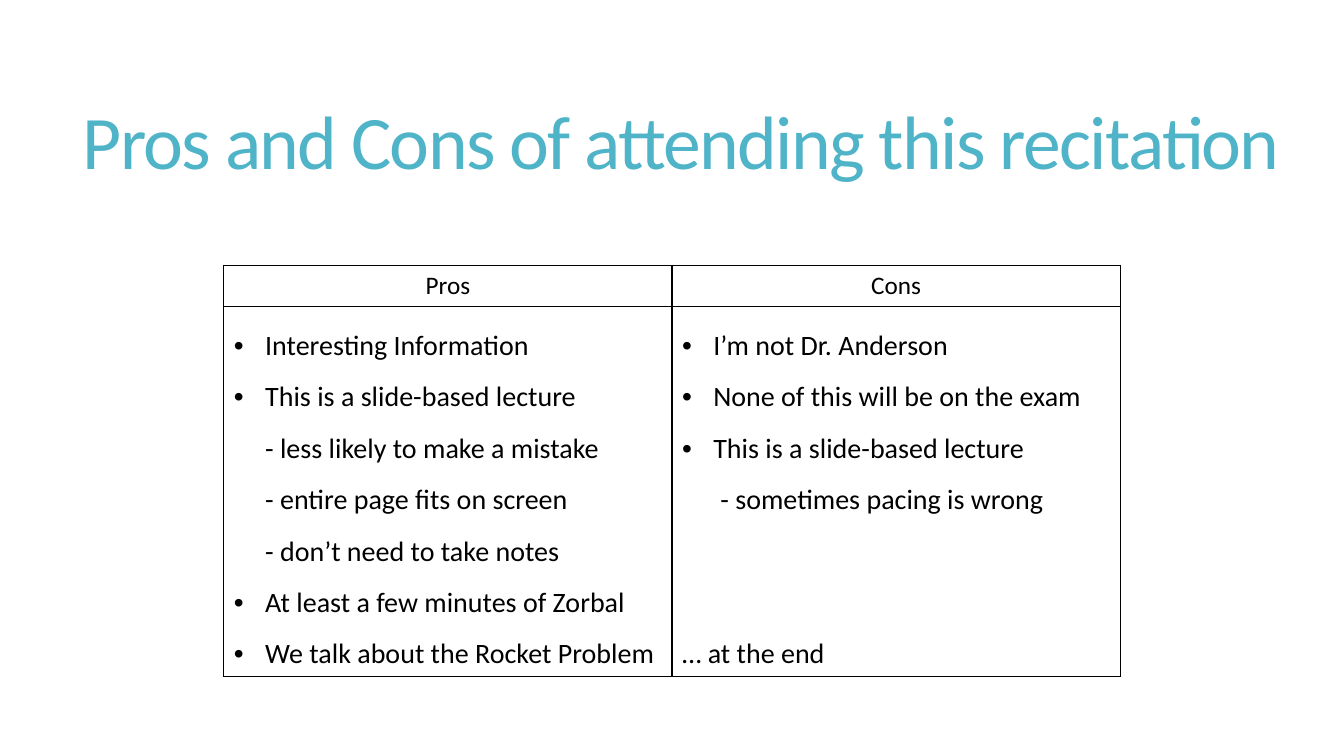
from dataclasses import dataclass

from lxml.etree import SubElement
from pptx import Presentation
from pptx.dml.color import RGBColor
from pptx.enum.text import MSO_ANCHOR as Anchor, PP_ALIGN as Align
from pptx.oxml.ns import qn
from pptx.util import Inches, Pt


@dataclass(frozen=True)
class Theme:
    font: str = "Calibri"
    title_color: str = "50B4C8"
    ink: str = "000000"
    title_size: int = 54
    header_size: int = 18
    body_size: int = 20
    border: int = 1
    title_tracking: int = -120
    title_leading: float = 0.85
    body_leading: float = 1.5
    bullet_indent: float = 0.31


@dataclass(frozen=True)
class Line:
    text: str
    bullet: bool = True
    indent: float = 0
    gap: int = 0


class SlideBuilder:
    def __init__(self, deck, theme):
        self.theme = theme
        self.slide = deck.slides.add_slide(deck.slide_layouts[5])

    def format_runs(self, para, size, color):
        for run in para.runs:
            run.font.name = self.theme.font
            run.font.size = Pt(size)
            run.font.bold = False
            run.font.color.rgb = RGBColor.from_string(color)

    def title(self, text, left, top, width, height):
        box = self.slide.shapes.title
        box.left, box.top = Inches(left), Inches(top)
        box.width, box.height = Inches(width), Inches(height)
        frame = box.text_frame
        frame.text = text
        frame.word_wrap = True
        frame.vertical_anchor = Anchor.MIDDLE
        para = frame.paragraphs[0]
        para.alignment = Align.LEFT
        para.line_spacing = self.theme.title_leading
        self.format_runs(para, self.theme.title_size, self.theme.title_color)
        for run in para.runs:
            run.font._element.set("spc", str(self.theme.title_tracking))

    def table(self, columns, left, top, width, row_heights):
        frame = self.slide.shapes.add_table(
            len(row_heights), len(columns), Inches(left), Inches(top),
            Inches(width), Inches(sum(row_heights)))
        table = frame.table
        table.first_row = table.horz_banding = False
        for row, height in zip(table.rows, row_heights):
            row.height = Inches(height)
        for index, (heading, lines) in enumerate(columns.items()):
            self.header_cell(table.cell(0, index), heading)
            self.list_cell(table.cell(1, index), lines)

    def outline_cell(self, cell):
        properties = cell._tc.get_or_add_tcPr()
        for side in ("a:lnL", "a:lnR", "a:lnT", "a:lnB"):
            edge = SubElement(properties, qn(side), w=str(Pt(self.theme.border)))
            fill = SubElement(edge, qn("a:solidFill"))
            SubElement(fill, qn("a:srgbClr"), val=self.theme.ink)
        cell.fill.background()

    def header_cell(self, cell, text):
        self.outline_cell(cell)
        cell.text_frame.text = text
        para = cell.text_frame.paragraphs[0]
        para.alignment = Align.CENTER
        self.format_runs(para, self.theme.header_size, self.theme.ink)

    def list_cell(self, cell, lines):
        self.outline_cell(cell)
        frame = cell.text_frame
        frame.text = "\n".join(line.text for line in lines)
        for para, line in zip(frame.paragraphs, lines):
            para.line_spacing = self.theme.body_leading
            para.space_before = Pt(line.gap)
            self.format_runs(para, self.theme.body_size, self.theme.ink)
            self.indent(para, line)

    def indent(self, para, line):
        properties = para._p.get_or_add_pPr()
        step = Inches(self.theme.bullet_indent)
        if line.bullet:
            properties.set("marL", str(step))
            properties.set("indent", str(-step))
            SubElement(properties, qn("a:buFont"), typeface="Arial")
            SubElement(properties, qn("a:buChar"), char="•")
        else:
            properties.set("marL", str(Inches(line.indent)))
            properties.set("indent", "0")
            SubElement(properties, qn("a:buNone"))


def main():
    deck = Presentation()
    deck.slide_width, deck.slide_height = Inches(13.33), Inches(7.5)
    builder = SlideBuilder(deck, Theme())
    builder.title("Pros and Cons of attending this recitation",
                  0.72, 0.55, 12.15, 1.81)
    columns = {
        "Pros": [
            Line("Interesting Information"),
            Line("This is a slide-based lecture"),
            Line("- less likely to make a mistake", False, 0.31),
            Line("- entire page fits on screen", False, 0.31),
            Line("- don’t need to take notes", False, 0.31),
            Line("At least a few minutes of Zorbal"),
            Line("We talk about the Rocket Problem"),
        ],
        "Cons": [
            Line("I’m not Dr. Anderson"),
            Line("None of this will be on the exam"),
            Line("This is a slide-based lecture"),
            Line("- sometimes pacing is wrong", False, 0.38),
            Line("… at the end", False, gap=73),
        ],
    }
    builder.table(columns, 2.22, 2.63, 8.89, [0.41, 3.67])
    deck.save("out.pptx")


if __name__ == "__main__":
    main()
